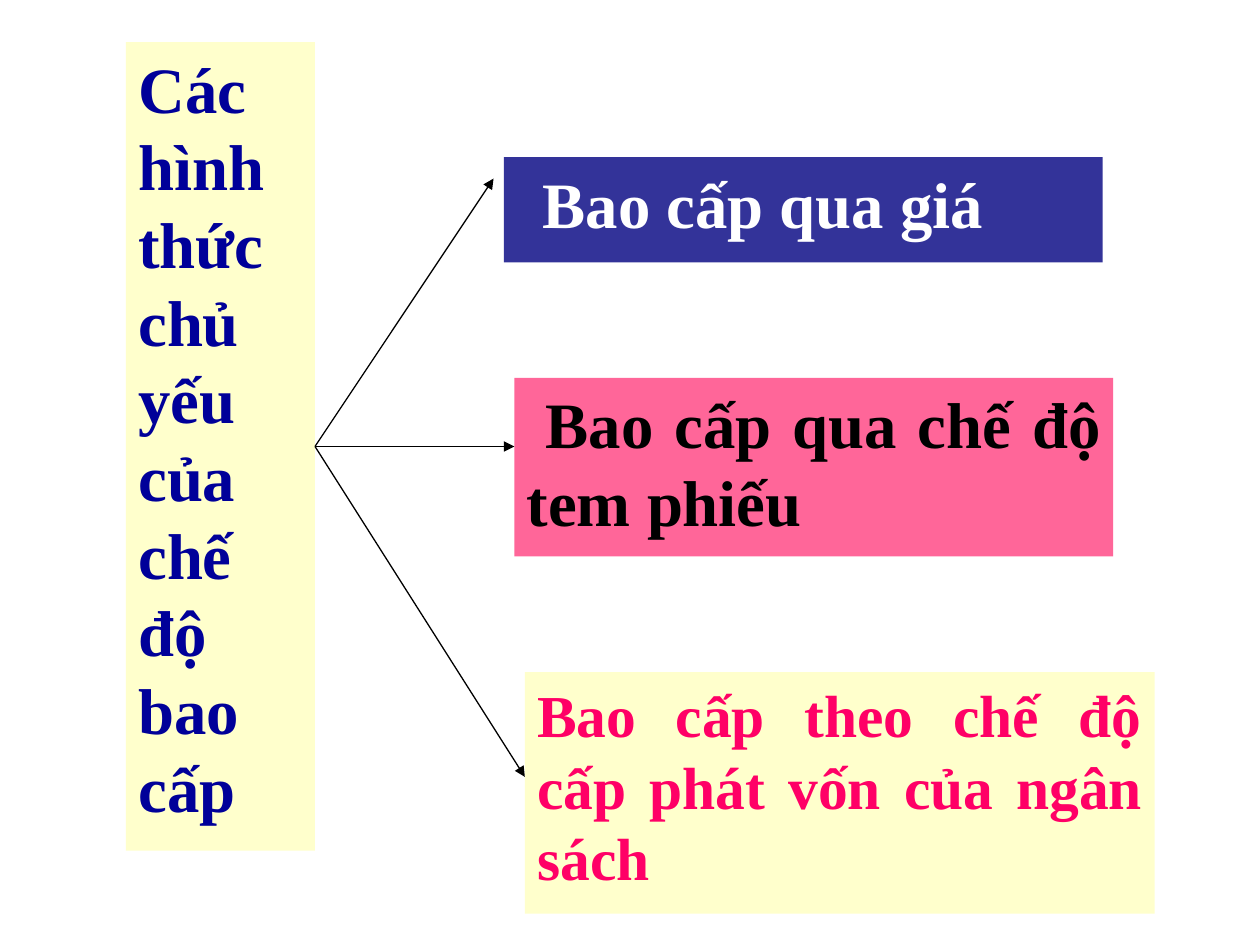
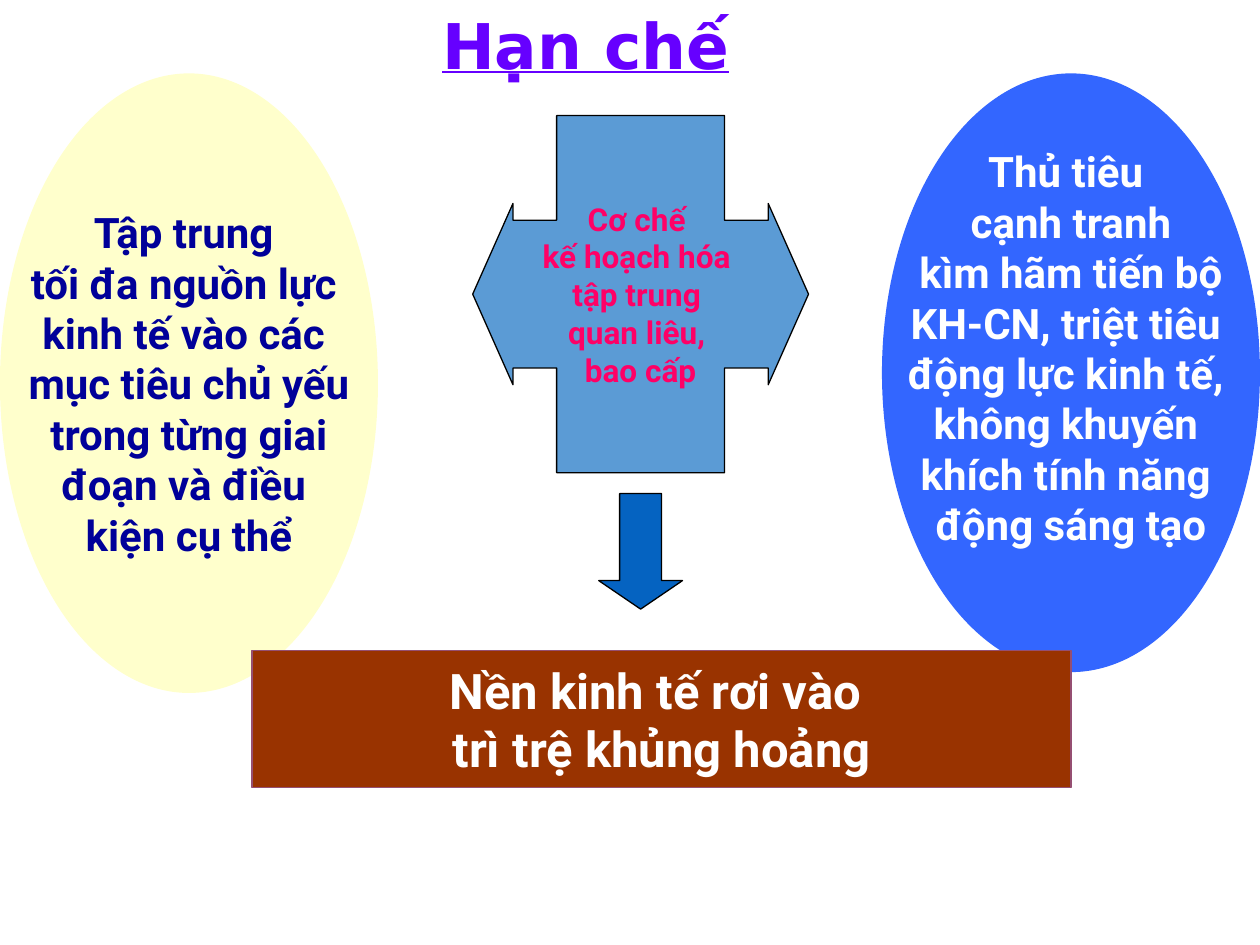
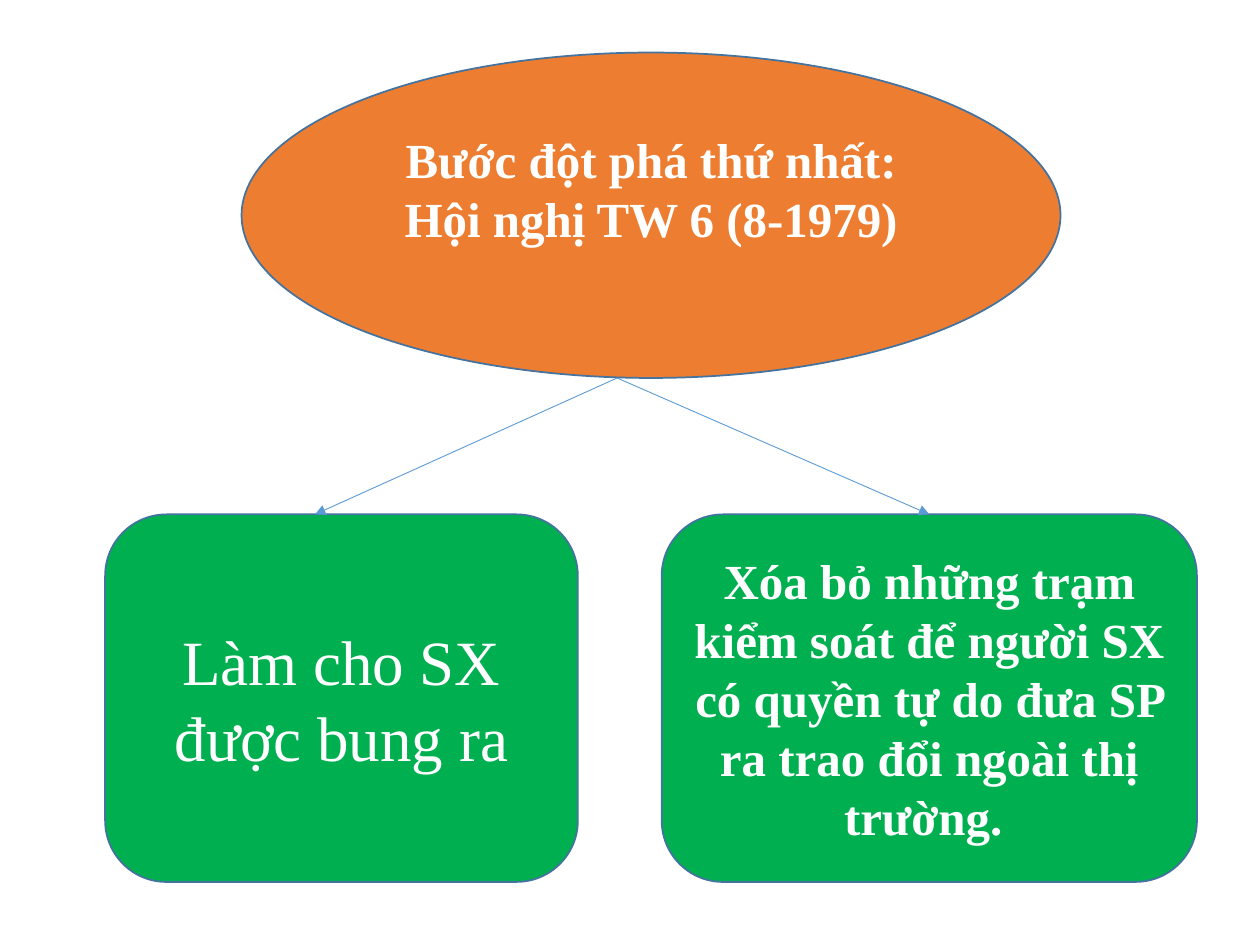
from dataclasses import dataclass
from typing import Optional

from lxml import etree
from pptx import Presentation
from pptx import util as u
from pptx.dml.color import RGBColor
from pptx.enum import shapes, text
from pptx.oxml import ns

INK = {
    "black": "000000", "white": "FFFFFF", "cream": "FFFFCC", "navy": "000099",
    "indigo": "333399", "pink": "FF6699", "rose": "FF0066", "sky": "5B9BD5",
    "blue": "3366FF", "deep": "0563C1", "brown": "993300", "plum": "954F72",
    "violet": "6600FF", "orange": "ED7D31", "green": "00B050", "steel": "43739E",
}
SERIF, SANS, HEAD = "Times New Roman", "Roboto", "DejaVu Sans"
KIND = shapes.MSO_SHAPE
SIDE = text.PP_ALIGN
TOP, MID = text.MSO_ANCHOR.TOP, text.MSO_ANCHOR.MIDDLE


@dataclass
class Face:
    """Look of a piece of text."""
    font: str
    size: float
    ink: str
    bold: bool = True
    under: bool = False


@dataclass
class Box:
    """A filled shape with its text, placed in centimetres."""
    kind: KIND
    at: tuple[float, float, float, float]
    fill: str
    paras: tuple[str, ...] = ()
    face: Optional[Face] = None
    edge: Optional[str] = None
    width: float = 0.75
    side: SIDE = SIDE.CENTER
    anchor: text.MSO_ANCHOR = MID
    wrap: bool = True
    indent: float = 0
    base: float = 0.13
    adjust: tuple[float, ...] = ()


@dataclass
class Arrow:
    """A straight arrow, joined to a box side where one is given."""
    start: tuple[float, float]
    end: tuple[float, float]
    ink: str
    width: float
    source: Optional[tuple] = None
    target: Optional[tuple] = None


def tint(name: str) -> RGBColor:
    """Return a named colour."""
    return RGBColor.from_string(INK[name])


def write(para, words: str, face: Face) -> None:
    """Add words run by run, breaking lines where they break."""
    for spot, line in enumerate(words.split("\n")):
        if spot:
            para.add_line_break()
        run = para.add_run()
        run.text = line
        font = run.font
        font.name, font.size = face.font, u.Pt(face.size)
        font.bold, font.underline = face.bold, face.under
        font.color.rgb = tint(face.ink)


def draw_box(slide, box: Box):
    """Draw a box and return its shape."""
    shape = slide.shapes.add_shape(box.kind, *map(u.Cm, box.at))
    shape.shadow.inherit = False
    for spot, value in enumerate(box.adjust):
        shape.adjustments[spot] = value
    shape.fill.solid()
    shape.fill.fore_color.rgb = tint(box.fill)
    if box.edge:
        shape.line.color.rgb = tint(box.edge)
        shape.line.width = u.Pt(box.width)
    else:
        shape.line.fill.background()
    frame = shape.text_frame
    frame.word_wrap, frame.vertical_anchor = box.wrap, box.anchor
    frame.margin_bottom = u.Cm(box.base)
    for spot, words in enumerate(box.paras):
        para = frame.add_paragraph() if spot else frame.paragraphs[0]
        para.alignment = box.side
        if box.indent:
            para._p.get_or_add_pPr().set("indent", str(u.Cm(box.indent)))
        write(para, words, box.face)
    return shape


def draw_arrow(slide, arrow: Arrow) -> None:
    """Draw an arrow with a triangle at its end."""
    ends = map(u.Cm, arrow.start + arrow.end)
    line = slide.shapes.add_connector(shapes.MSO_CONNECTOR.STRAIGHT, *ends)
    line.line.color.rgb = tint(arrow.ink)
    line.line.width = u.Pt(arrow.width)
    if arrow.source:
        line.begin_connect(*arrow.source)
    if arrow.target:
        line.end_connect(*arrow.target)
    stroke = line.line._get_or_add_ln()
    etree.SubElement(stroke, ns.qn("a:tailEnd"), type="triangle")
    etree.SubElement(stroke.getparent(), ns.qn("a:effectLst"))


def forms(slide) -> None:
    """Show the three forms of subsidy."""
    def card(at, fill, words, size, ink, indent=0.0):
        return draw_box(slide, Box(KIND.RECTANGLE, at, fill, (words,), Face(SERIF, size, ink),
                                   side=SIDE.JUSTIFY, anchor=TOP, indent=indent))

    root = card((2.54, 0.85, 3.81, 16.3), "cream",
                "Các hình thức chủ yếu của chế độ bao cấp", 37, "navy")
    card((10.16, 3.17, 12.07, 2.12), "indigo", "Bao cấp qua giá", 37, "white", 0.53)
    card((10.37, 7.62, 12.07, 3.6), "pink", "Bao cấp qua chế độ tem phiếu", 37, "black", 0.38)
    card((10.58, 13.55, 12.7, 4.87), "cream",
         "Bao cấp theo chế độ cấp phát vốn của ngân sách", 34, "rose")
    for end in ((9.95, 3.6), (10.37, 9), (10.58, 15.66)):
        draw_arrow(slide, Arrow((6.35, 9), end, "black", 0.75, source=(root, 3)))


def limits(slide) -> None:
    """Show the limits of the planned economy."""
    title = slide.shapes.title
    title.left, title.top, title.width, title.height = map(u.Cm, (8.66, 0, 6.6, 1.78))
    frame = title.text_frame
    frame.word_wrap, frame.vertical_anchor = False, TOP
    frame.auto_size = text.MSO_AUTO_SIZE.NONE
    frame.paragraphs[0].alignment = SIDE.LEFT
    write(frame.paragraphs[0], "Hạn chế", Face(HEAD, 36, "violet", under=True))

    plan = "Cơ chế \nkế hoạch hóa \ntập trung \nquan liêu, \nbao cấp"
    focus = ("Tập trung \ntối đa nguồn lực \nkinh tế vào các \nmục tiêu chủ yếu\n"
             "trong từng giai\nđoạn và điều \nkiện cụ thể")
    harm = ("Thủ tiêu \ncạnh tranh\nkìm hãm tiến bộ\nKH-CN, triệt tiêu \n"
            "động lực kinh tế, \nkhông khuyến \nkhích tính năng \nđộng sáng tạo")
    fall = ("Nền kinh tế rơi vào ", "trì trệ khủng hoảng")
    for box in (
        Box(KIND.LEFT_RIGHT_ARROW_CALLOUT, (9.53, 2.33, 6.77, 7.2), "sky", (plan,),
            Face(SANS, 18, "rose"), "black", wrap=False, adjust=(0.44, 0.27, 0.12, 0.5)),
        Box(KIND.OVAL, (0, 1.48, 7.62, 12.49), "cream", (focus,),
            Face(SANS, 24, "navy"), wrap=False),
        Box(KIND.OVAL, (17.78, 1.48, 7.62, 12.07), "blue", (harm,),
            Face(SANS, 24, "white"), wrap=False, base=1.14),
        Box(KIND.DOWN_ARROW, (12.07, 9.95, 1.69, 2.33), "deep", edge="black",
            adjust=(0.5, 0.34)),
        Box(KIND.RECTANGLE, (5.08, 13.12, 16.51, 2.75), "brown", fall,
            Face(SANS, 28, "white"), "plum", wrap=False),
    ):
        draw_box(slide, box)


def breakthrough(slide) -> None:
    """Show the first step of reform and its two results."""
    def node(kind, at, fill, words, size=28, bold=True, base=0.13):
        return draw_box(slide, Box(kind, at, fill, (words,), Face(SERIF, size, "white", bold),
                                   "steel", 1, base=base))

    node(KIND.OVAL, (4.87, 1.06, 16.51, 6.56), "orange",
         "Bước đột phá thứ nhất: Hội nghị TW 6 (8-1979)", base=1.22)
    node(KIND.ROUNDED_RECTANGLE, (2.12, 10.37, 9.53, 7.41), "green",
         "Làm cho SX được bung ra", 36, False)
    trade = node(KIND.ROUNDED_RECTANGLE, (13.34, 10.37, 10.79, 7.41), "green",
                 "Xóa bỏ những trạm kiểm soát để người SX có quyền tự do đưa SP "
                 "ra trao đổi ngoài thị trường. ")
    fork = (12.44, 7.62)
    draw_arrow(slide, Arrow(fork, (6.35, 10.37), "sky", 0.5))
    draw_arrow(slide, Arrow(fork, (18.73, 10.37), "sky", 0.5, target=(trade, 0)))


def main() -> None:
    """Build and save the three slides."""
    deck = Presentation()
    deck.slide_width, deck.slide_height = u.Cm(25.4), u.Cm(19.05)
    for layout, build in ((6, forms), (5, limits), (6, breakthrough)):
        build(deck.slides.add_slide(deck.slide_layouts[layout]))
    deck.save("out.pptx")


if __name__ == "__main__":
    main()
